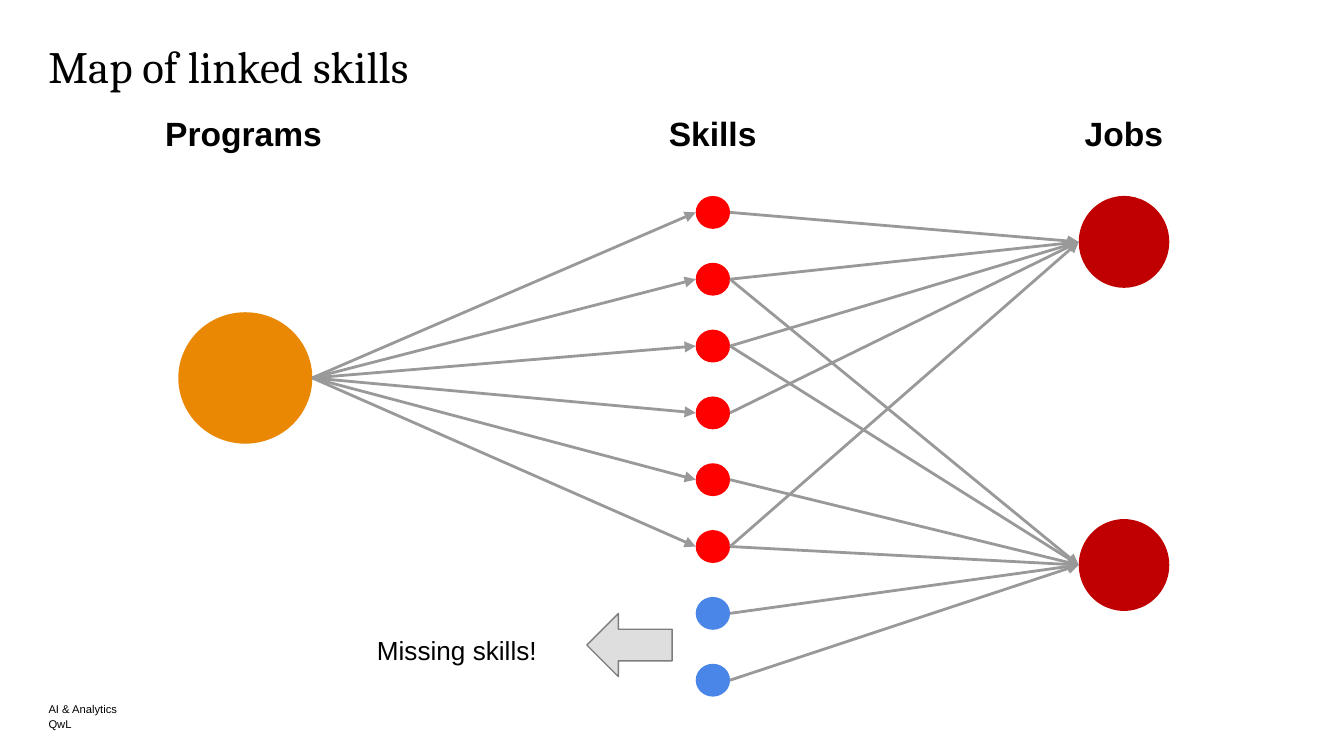
from pptx import Presentation
from pptx.dml.color import RGBColor
from pptx.enum.shapes import MSO_CONNECTOR, MSO_SHAPE
from pptx.enum.text import MSO_ANCHOR, PP_ALIGN
from pptx.oxml.ns import qn
from pptx.util import Pt
from lxml import etree

OVAL, ARROW = MSO_SHAPE.OVAL, MSO_SHAPE.LEFT_ARROW
STRAIGHT = MSO_CONNECTOR.STRAIGHT
TOP, BOTTOM = MSO_ANCHOR.TOP, MSO_ANCHOR.BOTTOM
LEFT, CENTER = PP_ALIGN.LEFT, PP_ALIGN.CENTER

BLACK = RGBColor(0x00, 0x00, 0x00)
ORANGE = RGBColor(0xEA, 0x88, 0x04)
RED = RGBColor(0xFF, 0x00, 0x00)
BLUE = RGBColor(0x4A, 0x86, 0xE8)
DARK_RED = RGBColor(0xC0, 0x00, 0x00)
GRAY = RGBColor(0x99, 0x99, 0x99)
PALE = RGBColor(0xDE, 0xDE, 0xDE)
EDGE = RGBColor(0x7D, 0x7D, 0x7D)

HELD = 6  # skills the program teaches; the rest are missing
SKILLS = 8
JOB_SKILLS = [(0, 1, 2, 3, 5), (1, 2, 4, 5, 6, 7)]


def add_text(slide, box, text, size, font="Arial", bold=False,
             align=LEFT, anchor=TOP, inset=0):
    shape = slide.shapes.add_textbox(*map(Pt, box))
    frame = shape.text_frame
    frame.word_wrap = True
    frame.vertical_anchor = anchor
    frame.margin_left = frame.margin_right = Pt(inset)
    frame.margin_top = frame.margin_bottom = Pt(inset)
    frame.text = text
    para = frame.paragraphs[0]
    para.alignment = align
    run = para.runs[0].font
    run.name, run.size, run.bold = font, Pt(size), bold
    run.color.rgb = BLACK
    return para


def add_shape(slide, kind, box, fill):
    shape = slide.shapes.add_shape(kind, *map(Pt, box))
    shape.shadow.inherit = False
    shape.fill.solid()
    shape.fill.fore_color.rgb = fill
    shape.line.fill.background()
    return shape


def add_link(slide, start, end):
    """Arrow from the right side of one node to the left side of another."""
    link = slide.shapes.add_connector(
        STRAIGHT, start.left + start.width, start.top + start.height // 2,
        end.left, end.top + end.height // 2)
    link.line.color.rgb = GRAY
    link.line.width = Pt(1.5)
    tail = etree.SubElement(link.line._get_or_add_ln(), qn("a:tailEnd"))
    tail.set("type", "triangle")
    etree.SubElement(link._element.spPr, qn("a:effectLst"))


def add_head(slide, box):
    para = add_text(slide, box, "Map of linked skills", 24, "Cambria")
    para.line_spacing = 0.85


def add_labels(slide, box):
    left, top, width, height = box
    for shift, label in ((0, "Programs"), (251.3, "Skills"), (471.6, "Jobs")):
        add_text(slide, (left + shift, top, width, height), label, 18,
                 bold=True, align=CENTER, inset=7.2)


def add_map(slide, box):
    left, top, width, height = box
    # Nodes
    program = add_shape(slide, OVAL, (left, top + 62.3, 71.8, 70.4), ORANGE)
    size = 17.6
    step = (height - size) / (SKILLS - 1)
    skills = [add_shape(slide, OVAL,
                        (left + 277.2, top + i * step, 18.4, size),
                        RED if i < HELD else BLUE)
              for i in range(SKILLS)]
    jobs = [add_shape(slide, OVAL,
                      (left + width - 48.5, top + shift, 48.5, 49.2), DARK_RED)
            for shift in (0, 173.1)]
    # Links
    for skill in skills[:HELD]:
        add_link(slide, program, skill)
    for job, needs in zip(jobs, JOB_SKILLS):
        for i in needs:
            add_link(slide, skills[i], job)


def add_note(slide, box):
    left, top, width, height = box
    add_text(slide, (left, top + 3.8, 105, 26), "Missing skills!", 14,
             align=CENTER, inset=7.2)
    arrow = add_shape(slide, ARROW, (left + width - 45.7, top, 45.7, height),
                      PALE)
    arrow.line.color.rgb = EDGE
    arrow.line.width = Pt(0.75)


def add_foot(slide, box):
    left, top, width, height = box
    row = 8
    for y, text in ((top, "AI & Analytics"), (top + height - row, "QwL")):
        add_text(slide, (left, y, width, row), text, 6, anchor=BOTTOM)


def main():
    deck = Presentation()
    deck.slide_width, deck.slide_height = Pt(720), Pt(405)
    slide = deck.slides.add_slide(deck.slide_layouts[6])
    add_foot(slide, (26, 375.3, 323, 16.4))
    add_map(slide, (95.5, 105, 530.9, 268.2))
    add_labels(slide, (75, 53.3, 111, 34))
    add_head(slide, (26, 25.2, 667.4, 29.5))
    add_note(slide, (192.3, 328.7, 167.8, 33.8))
    deck.save("out.pptx")


if __name__ == "__main__":
    main()
